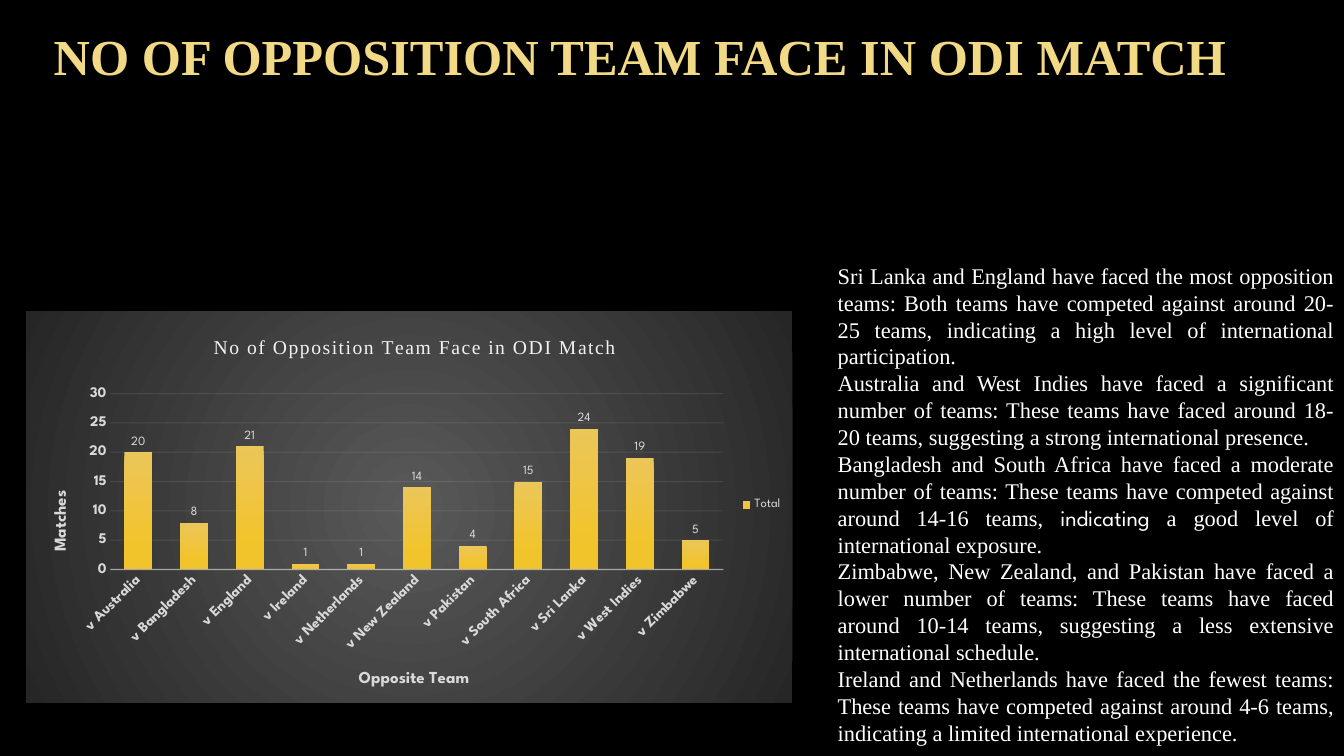
from dataclasses import dataclass

from pptx import Presentation
from pptx import util as u
from pptx.chart.data import CategoryChartData
from pptx.dml.color import RGBColor
from pptx.enum import chart as ch, text as t
from pptx.oxml import parse_xml
from pptx.oxml.ns import nsdecls, qn

COLORS = {
    "background": "000000", "heading": "F2D986", "body": "FFFFFF",
    "label": "D9D9D9", "light": "F2F2F2",
    "panel_centre": "595959", "panel_edge": "262626",
    "bar_top": "EBC659", "bar_bottom": "F2C42C",
}
SERIF, SANS = "Times New Roman", "League Spartan"


@dataclass
class Finding:
    text: str
    sans_word: str = ""


@dataclass
class AxisStyle:
    title: str
    x: float
    y: float


FINDINGS = [
    Finding("Sri Lanka and England have faced the most opposition teams: Both teams have competed "
            "against around 20-25 teams, indicating a high level of international participation."),
    Finding("Australia and West Indies have faced a significant number of teams: These teams have "
            "faced around 18-20 teams, suggesting a strong international presence."),
    Finding("Bangladesh and South Africa have faced a moderate number of teams: These teams have "
            "competed against around 14-16 teams, indicating a good level of international exposure.",
            "indicating"),
    Finding("Zimbabwe, New Zealand, and Pakistan have faced a lower number of teams: These teams have "
            "faced around 10-14 teams, suggesting a less extensive international schedule."),
    Finding("Ireland and Netherlands have faced the fewest teams: These teams have competed against "
            "around 4-6 teams, indicating a limited international experience."),
]
MATCHES = {
    "v Australia": 20, "v Bangladesh": 8, "v England": 21, "v Ireland": 1,
    "v Netherlands": 1, "v New Zealand": 14, "v Pakistan": 4, "v South Africa": 15,
    "v Sri Lanka": 24, "v West Indies": 19, "v Zimbabwe": 5,
}


def rgb(name: str) -> RGBColor:
    return RGBColor.from_string(COLORS[name])


def style_font(font, size: float, color: str, face: str = SANS, bold: bool = False) -> None:
    font.size, font.name, font.bold = u.Pt(size), face, bold
    font.color.rgb = rgb(color)


def write_text(paragraph, text: str, **style):
    run = paragraph.add_run()
    run.text = text
    style_font(run.font, **style)
    return run


def gradient(stops: list[tuple[int, str]], direction: str) -> str:
    marks = "".join(f'<a:gs pos="{pos * 1000}"><a:srgbClr val="{COLORS[name]}"/></a:gs>'
                    for pos, name in stops)
    return f'<a:gradFill rotWithShape="1"><a:gsLst>{marks}</a:gsLst>{direction}</a:gradFill>'


def shape_properties(fill: str):
    return parse_xml(f'<c:spPr {nsdecls("c", "a")}>{fill}<a:ln><a:noFill/></a:ln></c:spPr>')


def place(part, x: float, y: float, size: tuple[float, float] | None = None, after: str = "") -> None:
    """Position a chart part by fractions of the chart area."""
    for old in part.findall(qn("c:layout")):
        part.remove(old)
    values = {"x": x, "y": y}
    target = ""
    if size:
        target = '<c:layoutTarget val="inner"/>'
        values |= {"w": size[0], "h": size[1]}
    modes = '<c:xMode val="edge"/><c:yMode val="edge"/>'
    numbers = "".join(f'<c:{key} val="{value}"/>' for key, value in values.items())
    layout = parse_xml(f'<c:layout {nsdecls("c")}><c:manualLayout>{target}{modes}{numbers}'
                       '</c:manualLayout></c:layout>')
    if after:
        part.find(qn(after)).addnext(layout)
    else:
        part.insert(0, layout)


def style_line(line, axis, query: str, width: float, opacity: int) -> None:
    line.width = u.Pt(width)
    line.color.rgb = rgb("light")
    for color in axis._element.xpath(query):
        color.append(parse_xml(f'<a:alpha {nsdecls("a")} val="{opacity * 1000}"/>'))


def style_axis(axis, style: AxisStyle) -> None:
    axis.major_tick_mark = axis.minor_tick_mark = ch.XL_TICK_MARK.NONE
    style_font(axis.tick_labels.font, 10.5, "label", bold=True)
    write_text(axis.axis_title.text_frame.paragraphs[0], style.title,
               size=12, color="label", bold=True)
    place(axis._element.find(qn("c:title")), style.x, style.y, after="c:tx")


def add_heading(slide) -> None:
    heading = slide.shapes.title
    heading.left, heading.top = u.Inches(0.16), u.Inches(0.32)
    heading.width, heading.height = u.Inches(12.38), u.Inches(1.05)
    frame = heading.text_frame
    frame.auto_size = t.MSO_AUTO_SIZE.NONE
    frame.vertical_anchor = t.MSO_ANCHOR.TOP
    frame.margin_top = 0
    line = frame.paragraphs[0]
    line.alignment, line.line_spacing = t.PP_ALIGN.CENTER, 0.9
    write_text(line, "NO OF OPPOSITION TEAM FACE IN ODI MATCH",
               size=36, color="heading", face=SERIF, bold=True)


def add_findings(slide) -> None:
    box = slide.shapes.add_textbox(u.Inches(8.21), u.Inches(2.55), u.Inches(5.12), u.Inches(4.95))
    frame = box.text_frame
    frame.word_wrap = True
    for index, finding in enumerate(FINDINGS):
        paragraph = frame.add_paragraph() if index else frame.paragraphs[0]
        paragraph.alignment = t.PP_ALIGN.JUSTIFY
        paragraph.line_spacing = u.Pt(19.2)
        pieces = finding.text.partition(finding.sans_word) if finding.sans_word else (finding.text,)
        for piece in pieces:
            face = SANS if piece == finding.sans_word else SERIF
            write_text(paragraph, piece, size=16, color="body", face=face)


def add_matches_chart(slide) -> None:
    data = CategoryChartData()
    data.categories = list(MATCHES)
    data.add_series("Total", list(MATCHES.values()))
    chart = slide.shapes.add_chart(
        ch.XL_CHART_TYPE.COLUMN_CLUSTERED, u.Inches(0.26), u.Inches(3.09),
        u.Inches(7.6), u.Inches(3.88), data).chart
    style_font(chart.font, 10, "body")

    # Panel and plot area
    panel = gradient([(0, "panel_centre"), (100, "panel_edge")],
                     '<a:path path="circle"><a:fillToRect l="50000" t="50000" r="50000" b="50000"/></a:path>')
    chart_xml = chart.element.find(qn("c:chart"))
    chart_xml.addnext(shape_properties(panel))
    place(chart_xml.find(qn("c:plotArea")), 0.11, 0.21, (0.8, 0.45))

    # Title and legend
    chart.has_title = True
    title = write_text(chart.chart_title.text_frame.paragraphs[0],
                       "No of Opposition Team Face in ODI Match",
                       size=14, color="light", face=SERIF)
    title.font._element.set("spc", "100")
    place(chart_xml.find(qn("c:title")), 0.24, 0.05, after="c:tx")
    chart.has_legend = True
    chart.legend.position = ch.XL_LEGEND_POSITION.RIGHT
    chart.legend.include_in_layout = False
    style_font(chart.legend.font, 9, "label")
    place(chart_xml.find(qn("c:legend")), 0.93, 0.47, after="c:legendPos")

    # Axes
    teams, counts = chart.category_axis, chart.value_axis
    style_axis(teams, AxisStyle("Opposite Team", 0.43, 0.91))
    style_axis(counts, AxisStyle("Matches", 0.03, 0.45))
    teams._element.xpath("c:txPr/a:bodyPr")[0].set("rot", "-2700000")
    style_line(teams.format.line, teams, "c:spPr/a:ln//a:srgbClr", 1, 54)
    counts.minimum_scale, counts.maximum_scale, counts.major_unit = 0, 30, 5
    counts.format.line.fill.background()
    style_line(counts.major_gridlines.format.line, counts,
               "c:majorGridlines//a:srgbClr", 0.75, 10)

    # Bars and their labels
    plot = chart.plots[0]
    plot.gap_width, plot.overlap, plot.vary_by_categories = 100, -24, False
    bars = plot.series[0]
    bars.invert_if_negative = False
    bar_fill = gradient([(0, "bar_top"), (78, "bar_bottom")], '<a:lin ang="5400000" scaled="0"/>')
    bars._element.find(qn("c:tx")).addnext(shape_properties(bar_fill))
    labels = bars.data_labels
    labels.show_value = True
    labels.position = ch.XL_LABEL_POSITION.OUTSIDE_END
    style_font(labels.font, 9, "label")


def main() -> None:
    deck = Presentation()
    deck.slide_width, deck.slide_height = u.Inches(13.33), u.Inches(7.5)
    slide = deck.slides.add_slide(deck.slide_layouts[5])
    slide.background.fill.solid()
    slide.background.fill.fore_color.rgb = rgb("background")
    add_heading(slide)
    add_findings(slide)
    add_matches_chart(slide)
    deck.save("out.pptx")


if __name__ == "__main__":
    main()
